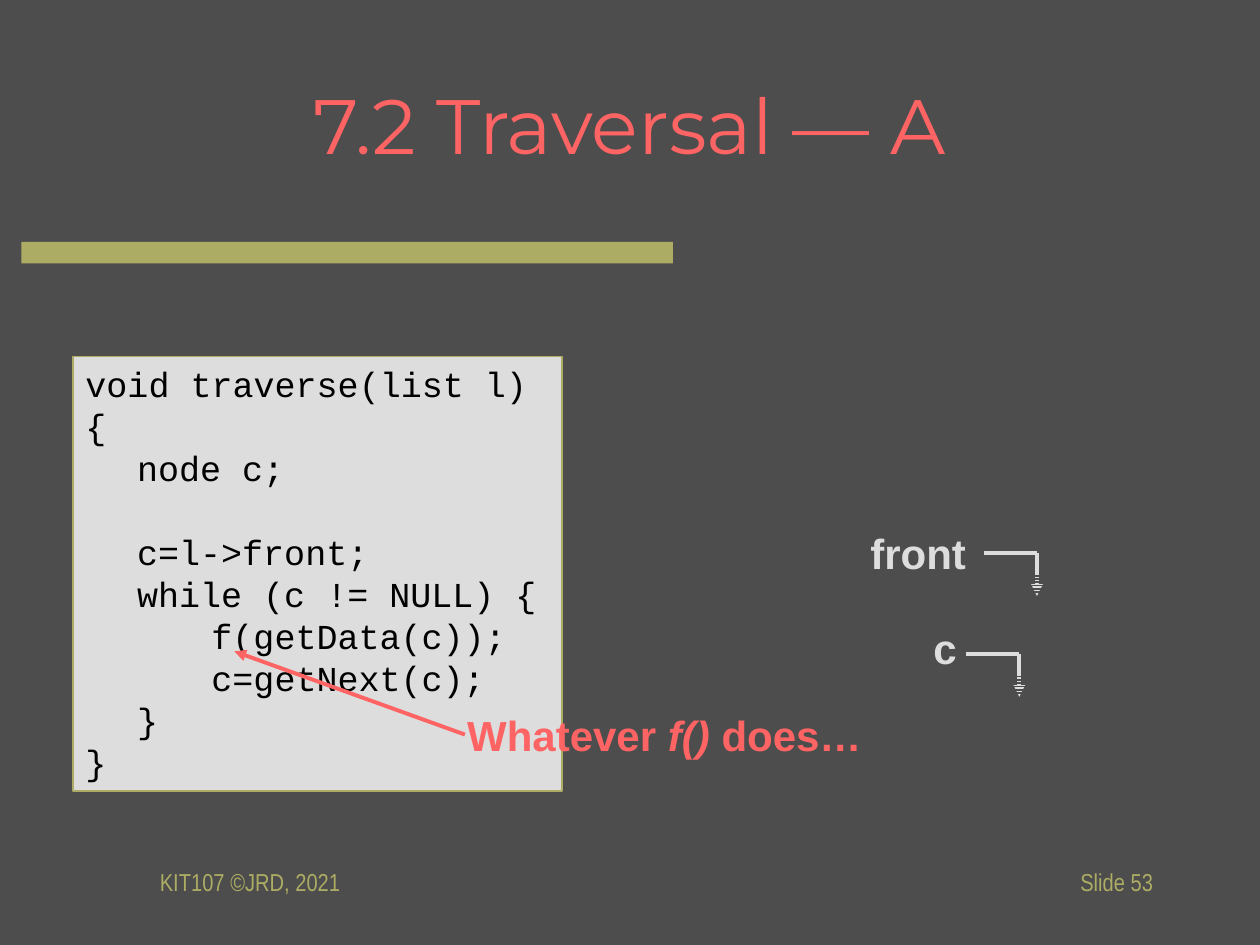
import pptx
import pptx.util
import pptx.oxml
import pptx.oxml.ns
import pptx.dml.color
import pptx.enum.shapes
import pptx.enum.text

HUE = {"back": "4D4D4D", "olive": "ACAC64", "coral": "FF6464",
       "pale": "DDDDDD", "ink": "000000"}

TITLE = "7.2 Traversal — A"
# indent level, code, blank lines before
CODE = [
    (0, "void traverse(list l)", 0),
    (0, "{", 0),
    (1, "node c;", 0),
    (1, "c=l->front;", 1),
    (1, "while (c != NULL) {", 0),
    (2, "f(getData(c));", 0),
    (2, "c=getNext(c);", 0),
    (1, "}", 0),
    (0, "}", 0),
]
TABS = [0, 0.41, 1.0]
PITCH = 24
NOTE = [("Whatever ", False), ("f()", True), (" does…", False)]
# name, its box, start of its pointer
LINKS = [
    ("front", (6.81, 4.14, 0.96, 0.5), (7.81, 4.39)),
    ("c", (7.31, 4.89, 0.39, 0.5), (7.67, 5.19)),
]
# text, left, alignment
FOOT = [("KIT107 ©JRD, 2021", 1.17, "LEFT"), ("Slide 53", 7.17, "RIGHT")]

inch, pt = pptx.util.Inches, pptx.util.Pt
deck = pptx.Presentation()
deck.slide_width, deck.slide_height = inch(10), inch(7.5)
slide = deck.slides.add_slide(deck.slide_layouts[6])


def tint(name):
    return pptx.dml.color.RGBColor.from_string(HUE[name])


def rect(box, fill, edge=None):
    shape = slide.shapes.add_shape(
        pptx.enum.shapes.MSO_SHAPE.RECTANGLE, *map(inch, box))
    shape.shadow.inherit = False
    shape.fill.solid()
    shape.fill.fore_color.rgb = tint(fill)
    if edge:
        shape.line.color.rgb = tint(edge)
        shape.line.width = pt(1)
    else:
        shape.line.fill.background()
    return shape


def line(start, end, color, width=2.25, arrow=False):
    wire = slide.shapes.add_connector(
        pptx.enum.shapes.MSO_CONNECTOR.STRAIGHT, *map(inch, start + end))
    wire.line.color.rgb = tint(color)
    wire.line.width = pt(width)
    if arrow:
        tip = pptx.oxml.parse_xml(
            f'<a:tailEnd {pptx.oxml.ns.nsdecls("a")} type="triangle"/>')
        wire.line._get_or_add_ln().append(tip)
    wire._element.spPr.append(pptx.oxml.parse_xml(
        f'<a:effectLst {pptx.oxml.ns.nsdecls("a")}/>'))


def write(paras, box=None, shape=None, font="Arial", size=24, color="pale",
          bold=False, align="LEFT", anchor="TOP", wrap=False):
    """Fill a shape or a new box; each paragraph is a list of (text, italic)."""
    shape = shape or slide.shapes.add_textbox(*map(inch, box))
    frame = shape.text_frame
    frame.word_wrap = wrap
    frame.vertical_anchor = getattr(pptx.enum.text.MSO_ANCHOR, anchor)
    for i, runs in enumerate(paras):
        para = frame.add_paragraph() if i else frame.paragraphs[0]
        para.alignment = getattr(pptx.enum.text.PP_ALIGN, align)
        for text, slant in runs:
            run = para.add_run()
            run.text = text
            run.font.name, run.font.size = font, pt(size)
            run.font.bold, run.font.italic = bold, slant
            run.font.color.rgb = tint(color)
    return frame


def pointer(name, box, start):
    """Draw a named pointer that ends in a striped ground sign."""
    write([[(name, False)]], box, bold=True)
    x, y = start
    turn = x + 0.42
    line(start, (turn, y), "pale")
    line((turn, y), (turn, y + 0.34), "pale", arrow=True)
    for i in range(6):
        level = y + 0.18 + i * 0.026
        line((turn - 0.12, level), (turn + 0.13, level), "back", width=1)


slide.background.fill.solid()
slide.background.fill.fore_color.rgb = tint("back")
rect((0.17, 1.92, 5.17, 0.17), "olive")
write([[(TITLE, False)]], (0.75, 0.36, 8.5, 1.25), font="Montserrat", size=44,
      color="coral", align="CENTER", anchor="MIDDLE", wrap=True)

rect((6.57, 3.83, 1.97, 2.05), "back")
for link in LINKS:
    pointer(*link)

panel = rect((0.58, 2.83, 3.88, 3.45), "pale", "olive")
frame = write([[(text, False)] for _, text, _ in CODE], shape=panel,
              font="Courier New", size=20, color="ink")
for para, (level, _, gap) in zip(frame.paragraphs, CODE):
    para.line_spacing = pt(PITCH)
    para.space_before = pt(gap * PITCH)
    para._p.get_or_add_pPr().set("marL", str(inch(TABS[level])))

write([NOTE], (3.61, 5.58, 3.36, 0.51), color="coral", bold=True)
line((3.69, 5.83), (1.86, 5.17), "coral", arrow=True)

for text, left, align in FOOT:
    write([[(text, False)]], (left, 6.75, 2.08, 0.5), font="Arial Narrow",
          size=14, color="olive", align=align, anchor="MIDDLE")

deck.save("out.pptx")
